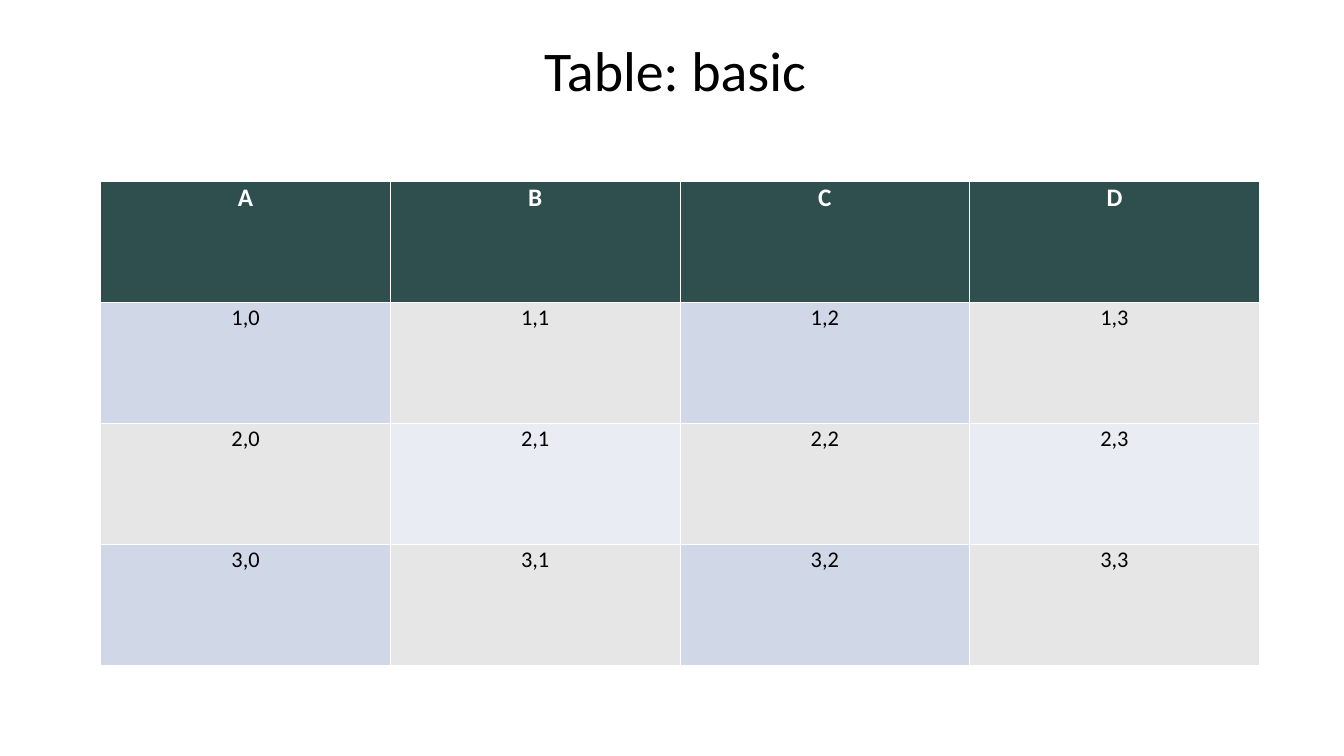
from lxml import etree
from pptx import Presentation
from pptx import util as u
from pptx.dml.color import RGBColor
from pptx.enum import text
from pptx.oxml.ns import qn

PX = 9144
FONT = "Calibri"
COLORS = {
    "text": "000000",
    "header": "2F4F4F",
    "header_text": "FFFFFF",
    "border": "FFFFFF",
    "checker": "E6E6E6",
    "odd_row": "D0D8E7",
    "even_row": "E9ECF3",
}
HEADERS = ["A", "B", "C", "D"]
BODY_ROWS = 3


def px(*lengths):
    return [u.Emu(length * PX) for length in lengths]


def color(name):
    return RGBColor.from_string(COLORS[name])


def format_paragraph(paragraph, size, color_name, bold=False):
    paragraph.alignment = text.PP_ALIGN.CENTER
    paragraph.font.name = FONT
    paragraph.font.size = u.Pt(size)
    paragraph.font.bold = bold
    paragraph.font.color.rgb = color(color_name)


def add_borders(cell):
    properties = cell._tc.get_or_add_tcPr()
    for index, side in enumerate(("lnL", "lnR", "lnT", "lnB")):
        line = etree.Element(qn(f"a:{side}"), w=str(u.Pt(0.45)))
        fill = etree.SubElement(line, qn("a:solidFill"))
        etree.SubElement(fill, qn("a:srgbClr"), val=COLORS["border"])
        properties.insert(index, line)


def fill_name(row, column):
    if row == 0:
        return "header"
    if (row + column) % 2 == 0:
        return "checker"
    return "odd_row" if row % 2 else "even_row"


def place_title(slide, box, wording):
    title = slide.shapes.title
    title.left, title.top, title.width, title.height = px(*box)
    frame = title.text_frame
    frame.text = wording
    frame.word_wrap = False
    frame.auto_size = text.MSO_AUTO_SIZE.NONE
    frame.vertical_anchor = text.MSO_ANCHOR.TOP
    format_paragraph(frame.paragraphs[0], 40, "text")


def place_table(slide, box):
    rows = [HEADERS] + [
        [f"{row},{column}" for column in range(len(HEADERS))]
        for row in range(1, BODY_ROWS + 1)
    ]
    table = slide.shapes.add_table(len(rows), len(HEADERS), *px(*box)).table
    for row, wordings in enumerate(rows):
        for column, wording in enumerate(wordings):
            cell = table.cell(row, column)
            cell.text = wording
            cell.fill.solid()
            cell.fill.fore_color.rgb = color(fill_name(row, column))
            add_borders(cell)
            paragraph = cell.text_frame.paragraphs[0]
            paragraph.line_spacing = 0.83
            if row == 0:
                format_paragraph(paragraph, 18, "header_text", bold=True)
            else:
                format_paragraph(paragraph, 16, "text")


def main():
    presentation = Presentation()
    presentation.slide_width, presentation.slide_height = px(1334, 750)
    slide = presentation.slides.add_slide(presentation.slide_layouts[5])
    place_title(slide, (528, 30, 284, 77), "Table: basic")
    place_table(slide, (100, 180, 1150, 480))
    presentation.save("out.pptx")


if __name__ == "__main__":
    main()
